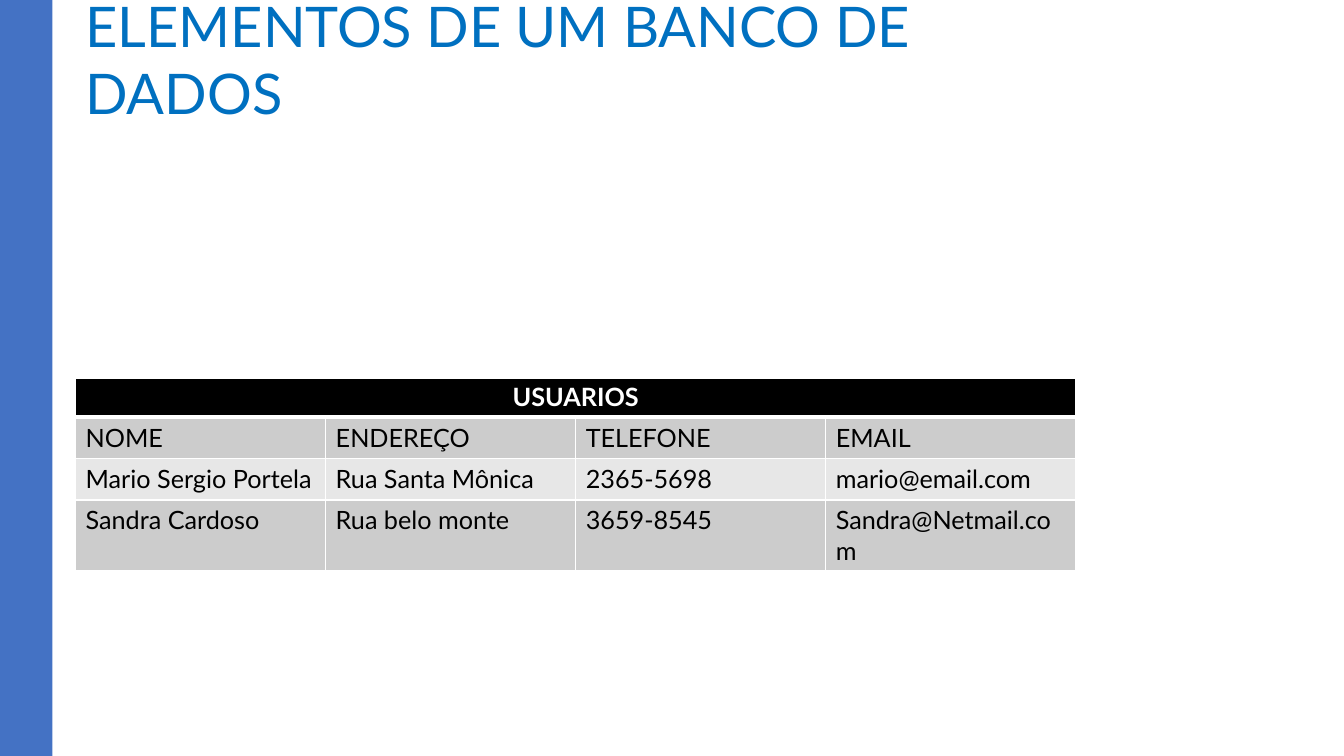
from dataclasses import dataclass

from lxml.etree import SubElement
from pptx import Presentation
from pptx.dml.color import RGBColor
from pptx.enum.shapes import MSO_SHAPE as Preset
from pptx.enum.text import MSO_ANCHOR as Anchor, PP_ALIGN as Align
from pptx.oxml.ns import qn
from pptx.slide import Slide
from pptx.table import _Cell as Cell
from pptx.util import Inches, Pt


@dataclass(frozen=True)
class Theme:
    font: str = "Lato"
    title_size: int = 40
    table_size: int = 18
    sidebar: str = "4472C4"
    title: str = "0070C0"
    header_fill: str = "000000"
    bands: tuple[str, str] = ("CCCCCC", "E7E7E7")
    light: str = "FFFFFF"
    dark: str = "000000"


@dataclass(frozen=True)
class User:
    name: str
    address: str
    phone: str
    email: str

    def values(self) -> tuple[str, ...]:
        return self.name, self.address, self.phone, self.email


THEME = Theme()
USERS = [
    User("NOME", "ENDEREÇO", "TELEFONE", "EMAIL"),
    User("Mario Sergio Portela", "Rua Santa Mônica", "2365-5698", "mario@email.com"),
    User("Sandra Cardoso", "Rua belo monte", "3659-8545", "Sandra@Netmail.com"),
]
COLUMN_COUNT = 4
COLUMN_WIDTH = 2.48
HEADER_HEIGHT = 0.39
ROW_HEIGHT = 0.41


def format_text(paragraph, size: int, color: str, bold: bool = False) -> None:
    for run in paragraph.runs:
        run.font.name = THEME.font
        run.font.size = Pt(size)
        run.font.bold = bold
        run.font.color.rgb = RGBColor.from_string(color)


def add_sidebar(slide: Slide) -> None:
    sidebar = slide.shapes.add_shape(
        Preset.RECTANGLE, Inches(0), Inches(0), Inches(0.52), Inches(7.5)
    )
    sidebar.shadow.inherit = False
    sidebar.fill.solid()
    sidebar.fill.fore_color.rgb = RGBColor.from_string(THEME.sidebar)
    sidebar.line.fill.background()


def add_title(slide: Slide, text: str) -> None:
    title = slide.shapes.add_textbox(
        Inches(0.75), Inches(0.43), Inches(9.33), Inches(0.87)
    )
    text_frame = title.text_frame
    text_frame.word_wrap = True
    text_frame.vertical_anchor = Anchor.BOTTOM
    text_frame.text = text
    format_text(text_frame.paragraphs[0], THEME.title_size, THEME.title)


def set_borders(cell: Cell, bottom_width: float) -> None:
    properties = cell._tc.get_or_add_tcPr()
    widths = {"a:lnL": 1, "a:lnR": 1, "a:lnT": 1, "a:lnB": bottom_width}
    for tag, width in widths.items():
        line = SubElement(properties, qn(tag), w=str(Pt(width)))
        fill = SubElement(line, qn("a:solidFill"))
        SubElement(fill, qn("a:srgbClr"), val=THEME.light)


def fill_cell(cell: Cell, text: str, fill: str, color: str, header: bool = False) -> None:
    set_borders(cell, 3 if header else 1)
    cell.fill.solid()
    cell.fill.fore_color.rgb = RGBColor.from_string(fill)
    cell.text_frame.text = text
    paragraph = cell.text_frame.paragraphs[0]
    paragraph.alignment = Align.CENTER if header else Align.LEFT
    format_text(paragraph, THEME.table_size, color, header)


def add_users_table(slide: Slide, heading: str, users: list[User]) -> None:
    frame = slide.shapes.add_table(
        len(users) + 1,
        COLUMN_COUNT,
        Inches(0.75),
        Inches(3.75),
        Inches(COLUMN_WIDTH * COLUMN_COUNT),
        Inches(HEADER_HEIGHT + ROW_HEIGHT * len(users)),
    )
    table = frame.table
    table.first_row = False
    table.horz_banding = False
    for column in table.columns:
        column.width = Inches(COLUMN_WIDTH)
    for index, row in enumerate(table.rows):
        row.height = Inches(ROW_HEIGHT if index else HEADER_HEIGHT)

    for index in range(COLUMN_COUNT):
        cell = table.cell(0, index)
        cell.margin_top = cell.margin_bottom = Inches(0.04)
        fill_cell(cell, "" if index else heading, THEME.header_fill, THEME.light, True)
    table.cell(0, 0).merge(table.cell(0, COLUMN_COUNT - 1))

    for row_index, user in enumerate(users):
        band = THEME.bands[row_index % 2]
        for column_index, value in enumerate(user.values()):
            fill_cell(table.cell(row_index + 1, column_index), value, band, THEME.dark)


def main() -> None:
    presentation = Presentation()
    presentation.slide_width = Inches(13.33)
    presentation.slide_height = Inches(7.5)
    slide = presentation.slides.add_slide(presentation.slide_layouts[6])
    add_sidebar(slide)
    add_title(slide, "ELEMENTOS DE UM BANCO DE DADOS")
    add_users_table(slide, "USUARIOS", USERS)
    presentation.save("out.pptx")


if __name__ == "__main__":
    main()
